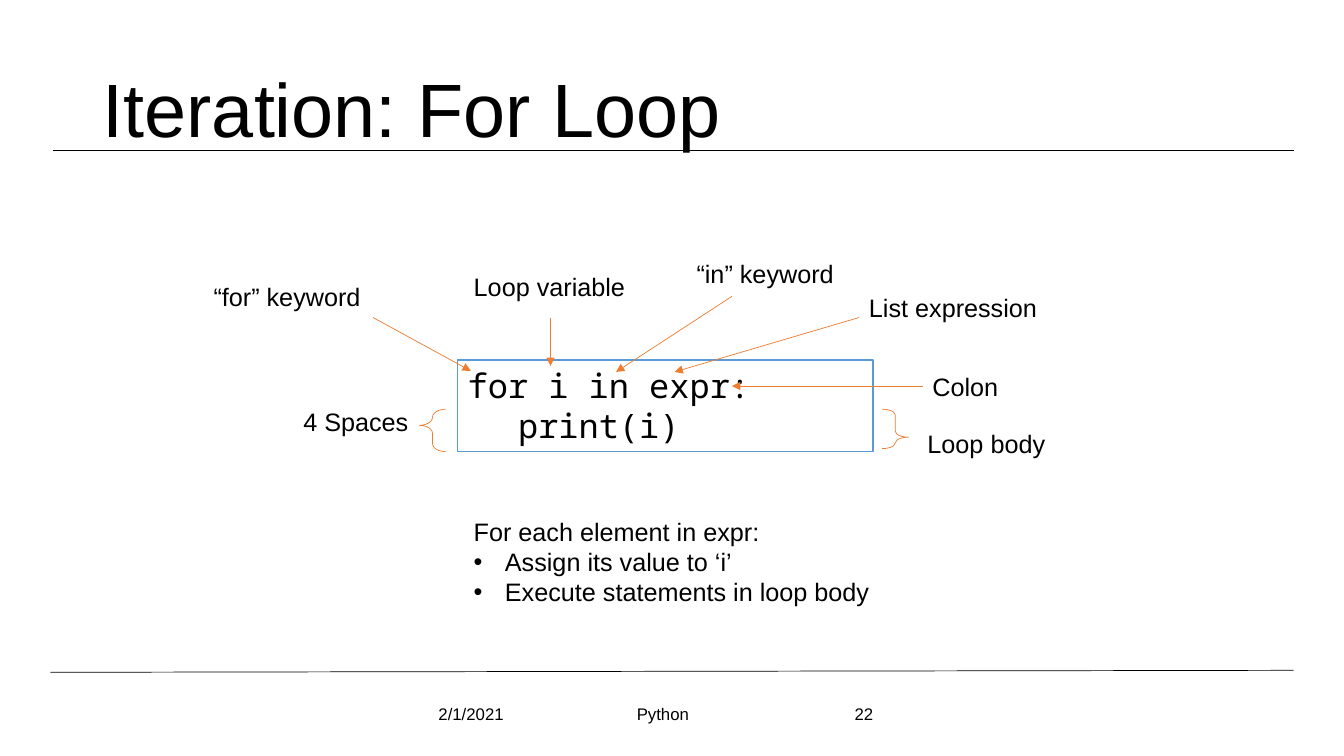
from lxml.etree import SubElement
from pptx import Presentation
from pptx.dml.color import RGBColor
from pptx.enum.shapes import MSO_CONNECTOR, MSO_SHAPE
from pptx.enum.text import MSO_ANCHOR, PP_ALIGN
from pptx.oxml.ns import qn
from pptx.util import Inches, Pt

COLORS = {"ink": "000000", "paper": "FFFFFF", "frame": "5B9BD5", "accent": "ED7D31"}
SANS, MONO = "Arial", "Noto Sans Mono"
W, H = 13.33, 7.5
LABEL_H = 0.4

# Offsets from the top left corner of the code box
CALLOUTS = [  # text, label x, y, width, arrow start, arrow end
    ("“for” keyword", -2.52, -0.83, 1.67, (-0.84, -0.42), (0.13, 0.11)),
    ("Loop variable", 0.06, -0.93, 1.72, (0.92, -0.42), (0.92, 0.06)),
    ("“in” keyword", 2.27, -1.06, 1.58, (2.72, -0.63), (1.57, 0.12)),
    ("List expression", 3.98, -0.72, 1.88, (3.98, -0.42), (2.15, 0.12)),
    ("Colon", 4.61, 0.06, 0.86, (4.61, 0.26), (2.72, 0.26)),
]
BRACES = [  # text, label x, y, width, brace x, height, tip position, rotation
    ("4 Spaces", -1.63, 0.41, 1.25, -0.38, 0.42, 0.38, 0),
    ("Loop body", 4.56, 0.63, 1.38, 4.21, 0.39, 0.29, 180),
]


def rgb(name):
    return RGBColor.from_string(COLORS[name])


def write(p, text, size=18, font=SANS, align=PP_ALIGN.LEFT, bullet=False):
    if bullet:
        pPr = p._p.get_or_add_pPr()
        pPr.set("marL", str(Inches(0.31)))
        pPr.set("indent", str(Inches(-0.31)))
        SubElement(pPr, qn("a:buFont")).set("typeface", SANS)
        SubElement(pPr, qn("a:buChar")).set("char", "•")
    p.alignment = align
    r = p.add_run()
    r.text = text
    r.font.size, r.font.name = Pt(size), font
    r.font.color.rgb = rgb("ink")


def add_text(s, text, x, y, w, h=LABEL_H):
    tf = s.shapes.add_textbox(*map(Inches, (x, y, w, h))).text_frame
    tf.word_wrap = False
    write(tf.paragraphs[0], text)
    return tf


def add_line(s, start, end, color="ink", arrow=False):
    c = s.shapes.add_connector(MSO_CONNECTOR.STRAIGHT, *map(Inches, (*start, *end)))
    c.line.color.rgb = rgb(color)
    c.line.width = Pt(0.5)
    if arrow:
        SubElement(c.line._get_or_add_ln(), qn("a:tailEnd")).set("type", "triangle")
    SubElement(c._element.spPr, qn("a:effectLst"))


def add_shape(s, kind, box, fill=None, line=None, width=1):
    sp = s.shapes.add_shape(kind, *map(Inches, box))
    sp.shadow.inherit = False
    if fill:
        sp.fill.solid()
        sp.fill.fore_color.rgb = rgb(fill)
    else:
        sp.fill.background()
    if line:
        sp.line.color.rgb = rgb(line)
        sp.line.width = Pt(width)
    else:
        sp.line.fill.background()
    return sp


def add_title(s, text, x, y, w, h):
    title = s.shapes.title
    title.left, title.top, title.width, title.height = map(Inches, (x, y, w, h))
    tf = title.text_frame
    tf.vertical_anchor = MSO_ANCHOR.MIDDLE
    tf.paragraphs[0].line_spacing = 0.9
    write(tf.paragraphs[0], text, size=54)


def add_footer(s, x, y, h):
    parts = [("2/1/2021", 0.89, PP_ALIGN.LEFT), ("Python", 2.87, PP_ALIGN.CENTER),
             ("22", 0.75, PP_ALIGN.RIGHT)]
    for text, w, align in parts:
        tf = add_shape(s, MSO_SHAPE.RECTANGLE, (x, y, w, h), fill="paper").text_frame
        tf.vertical_anchor = MSO_ANCHOR.MIDDLE
        write(tf.paragraphs[0], text, size=12, align=align)
        x += w


def add_code_diagram(s, x, y, w, h):
    """Code box with labelled arrows and braces around it."""
    code = add_shape(s, MSO_SHAPE.RECTANGLE, (x, y, w, h), "paper", "frame")
    tf = code.text_frame
    tf.vertical_anchor = MSO_ANCHOR.TOP
    write(tf.paragraphs[0], "for i in expr:", size=24, font=MONO)
    write(tf.add_paragraph(), "\tprint(i)", size=24, font=MONO)

    for text, dx, dy, label_w, start, end in CALLOUTS:
        add_text(s, text, x + dx, y + dy, label_w)
        ends = [(x + px, y + py) for px, py in (start, end)]
        add_line(s, *ends, color="accent", arrow=True)

    for text, dx, dy, label_w, brace_x, brace_h, tip, rotation in BRACES:
        add_text(s, text, x + dx, y + dy, label_w)
        box = (x + brace_x, y + 0.49, 0.26, brace_h)
        brace = add_shape(s, MSO_SHAPE.LEFT_BRACE, box, line="accent", width=0.5)
        brace.adjustments[0], brace.adjustments[1] = 0.4, tip
        brace.rotation = rotation


def add_explanation(s, x, y, w, h):
    tf = add_text(s, "For each element in expr:", x, y, w, h)
    for text in ("Assign its value to ‘i’", "Execute statements in loop body"):
        write(tf.add_paragraph(), text, bullet=True)


def main():
    prs = Presentation()
    prs.slide_width, prs.slide_height = Inches(W), Inches(H)
    s = prs.slides.add_slide(prs.slide_layouts[5])
    add_line(s, (0.5, 6.67), (W - 0.5, 6.65))
    add_line(s, (0.53, 1.49), (W - 0.5, 1.49))
    add_title(s, "Iteration: For Loop", 0.92, 0.4, 11.5, 1.45)
    add_footer(s, 4.25, 6.88, 0.4)
    add_code_diagram(s, 4.54, 3.57, 4.12, 0.91)
    add_explanation(s, 4.6, 5.07, 4.16, 1.01)
    prs.save("out.pptx")


if __name__ == "__main__":
    main()
